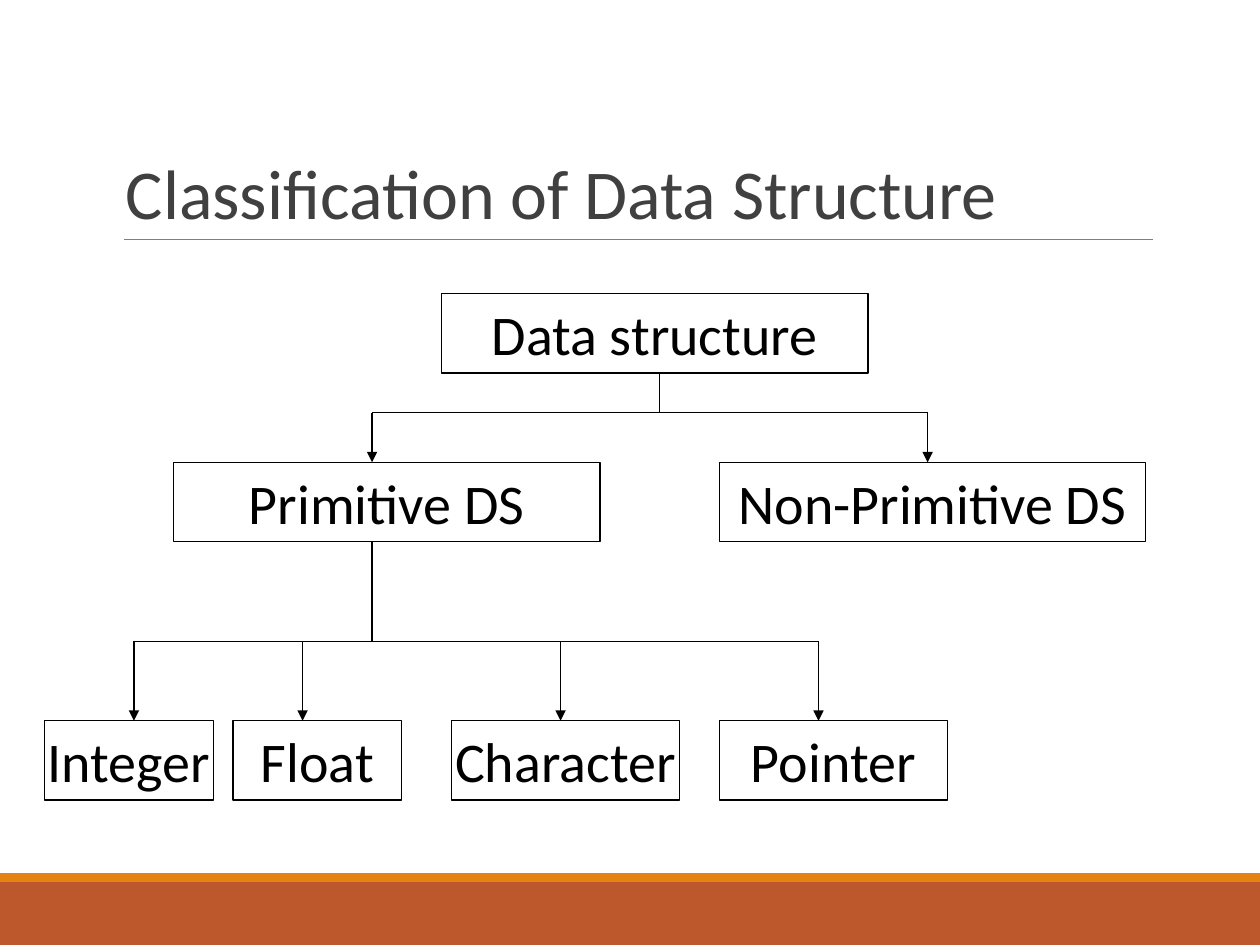
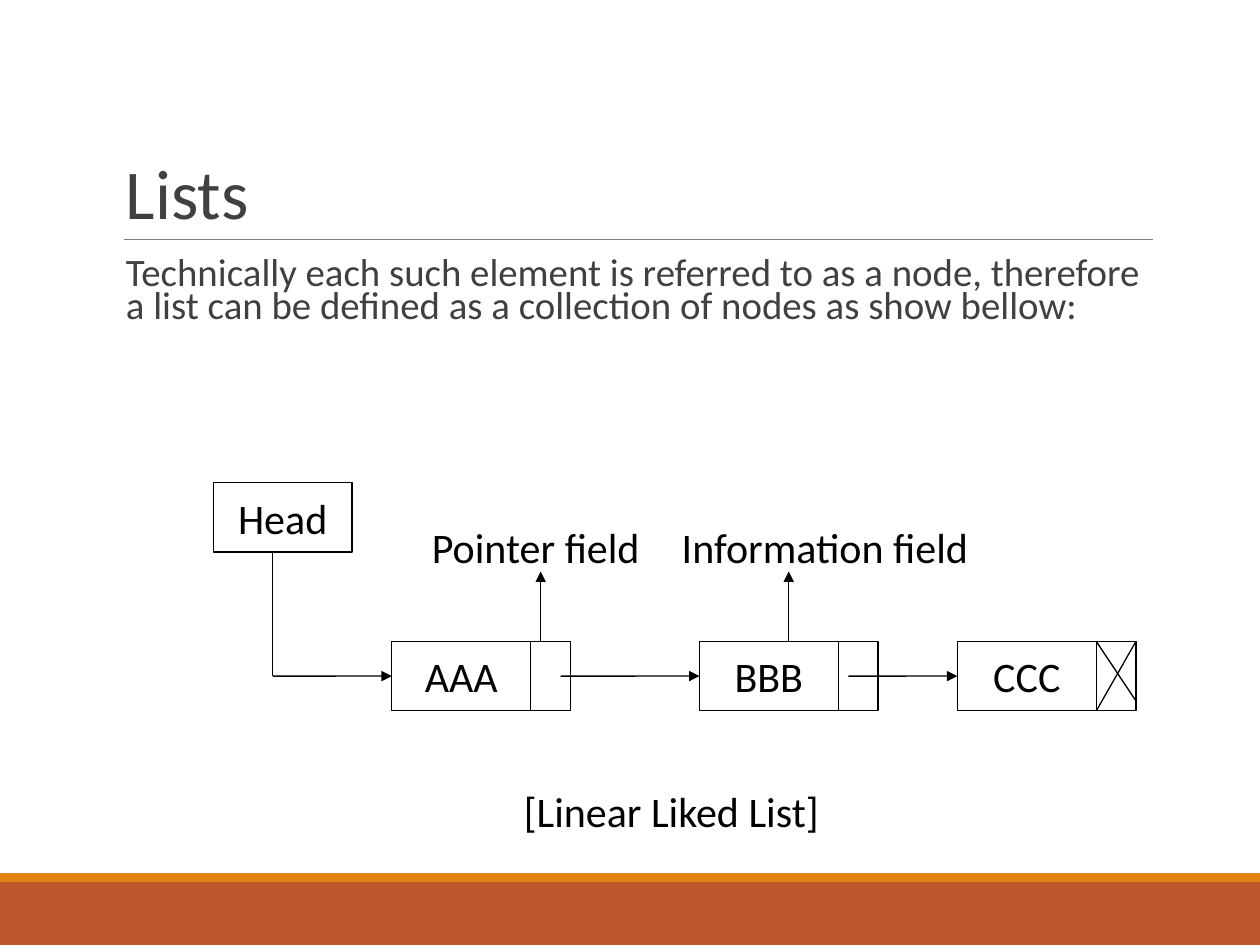
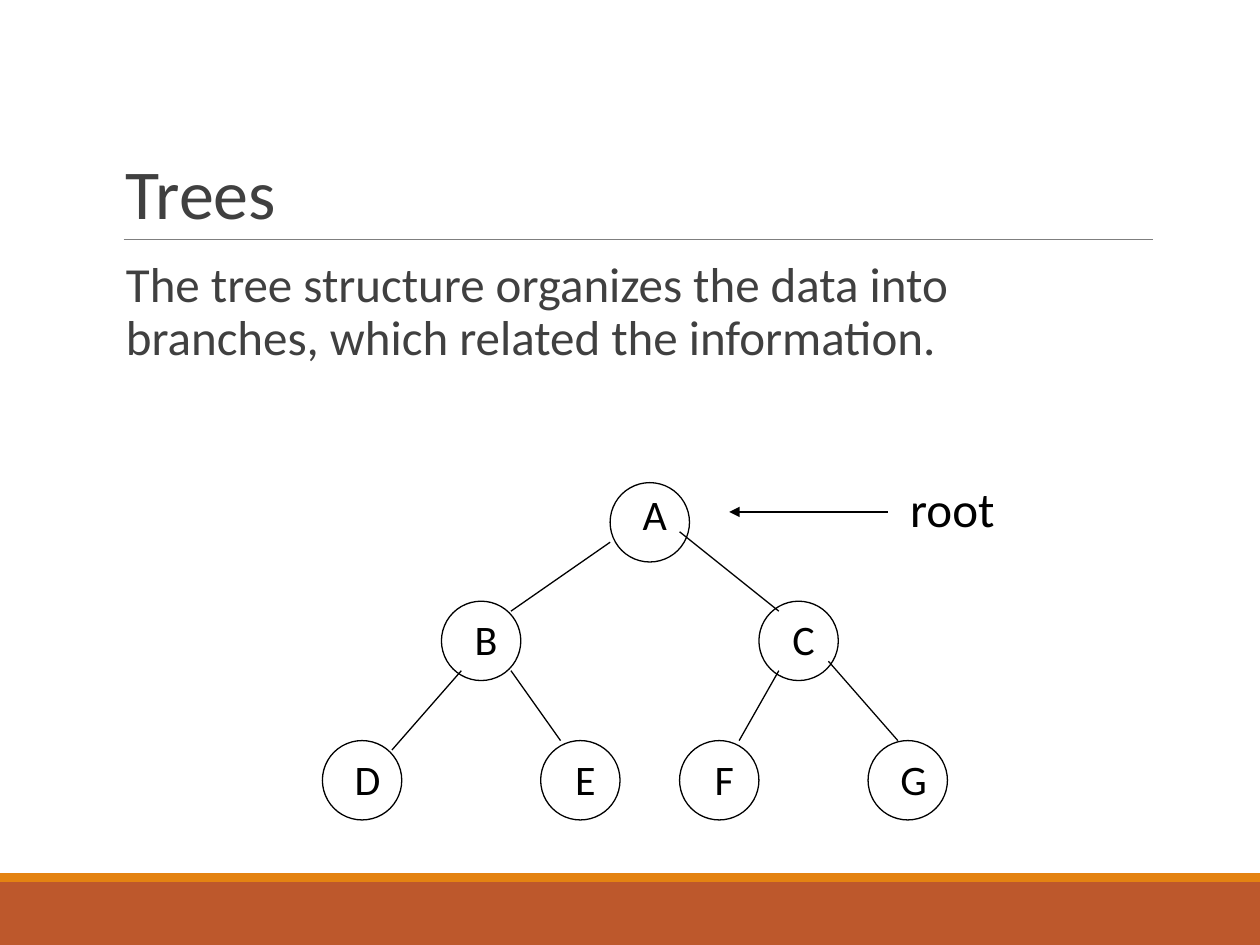
from lxml import etree
from pptx import Presentation
from pptx.dml.color import RGBColor
from pptx.enum.shapes import MSO_CONNECTOR as Link, MSO_SHAPE as Shape
from pptx.enum.text import MSO_ANCHOR as Anchor, PP_ALIGN as Align
from pptx.oxml.ns import qn
from pptx.util import Cm, Pt

BLANK_LAYOUT = 6
LEFT_SIDE = 1  # connection site of a rectangle


def color(value):
    return RGBColor.from_string(value)


def lengths(*values):
    return [Cm(value) for value in values]


class Slides:
    """Shared style, and the slide being drawn."""

    font = "Calibri"
    black, white, gray = "000000", "FFFFFF", "404040"
    rust, orange, rule = "BD582C", "E48312", "7F7F7F"

    def __init__(self):
        self.deck = Presentation()
        self.deck.slide_width, self.deck.slide_height = lengths(25.4, 19.05)
        self.page = None

    def new_page(self, title):
        layout = self.deck.slide_layouts[BLANK_LAYOUT]
        self.page = self.deck.slides.add_slide(layout)
        self.box(0, 17.78, 25.4, 1.27, fill=self.rust, line=None)
        self.box(0, 17.6, 25.4, 0.18, fill=self.orange, line=None)
        self.line((2.49, 4.83), (23.24, 4.83), ink=self.rule, width=0.5)
        self.text(title, 2.29, 0.79, 20.96, 4.04, size=40, ink=self.gray,
                  anchor=Anchor.BOTTOM, line_spacing=0.85)

    def fill_frame(self, frame, words, size, ink, **formats):
        para = frame.paragraphs[0]
        for name, value in formats.items():
            setattr(para, name, value)
        span = para.add_run()
        span.text = words
        for name, value in {"name": self.font, "size": Pt(size)}.items():
            setattr(span.font, name, value)
        span.font.color.rgb = color(ink)

    def text(self, words, left, top, width, height, size=24, ink=black,
             anchor=Anchor.TOP, shapes=None, **formats):
        shapes = shapes or self.page.shapes
        frame = shapes.add_textbox(*lengths(left, top, width, height)).text_frame
        frame.word_wrap = True
        frame.vertical_anchor = anchor
        self.fill_frame(frame, words, size, ink, **formats)

    def body(self, words, height, size, spacing):
        self.text(words, 2.29, 5.13, 20.96, height, size, self.gray,
                  line_spacing=spacing, space_before=Pt(12), space_after=Pt(2))

    def box(self, left, top, width, height, words="", size=24, fill=white,
            line=black, kind=Shape.RECTANGLE, shapes=None):
        shapes = shapes or self.page.shapes
        box = shapes.add_shape(kind, *lengths(left, top, width, height))
        box.shadow.inherit = False
        box.fill.solid()
        box.fill.fore_color.rgb = color(fill)
        if line:
            box.line.color.rgb = color(line)
            box.line.width = Pt(0.75)
        else:
            box.line.fill.background()
        if words:
            frame = box.text_frame
            frame.word_wrap = False
            frame.vertical_anchor = Anchor.MIDDLE
            self.fill_frame(frame, words, size, self.black,
                            alignment=Align.CENTER)
        return box

    def line(self, start, end, arrow=False, ink=black, width=0.75, target=None):
        line = self.page.shapes.add_connector(
            Link.STRAIGHT, *lengths(*start, *end))
        line.line.color.rgb = color(ink)
        line.line.width = Pt(width)
        properties = line._element.spPr
        if arrow:
            outline = properties.find(qn("a:ln"))
            etree.SubElement(outline, qn("a:tailEnd"), type="triangle")
        etree.SubElement(properties, qn("a:effectLst"))
        if target:
            line.end_connect(*target)

    def branch(self, trunk, top, bus, bottom, drops):
        """Trunk down to a bus, with an arrow down at each drop."""
        self.line((trunk, top), (trunk, bus))
        self.line((drops[0], bus), (drops[-1], bus))
        for drop in drops:
            self.line((drop, bus), (drop, bottom), arrow=True)

    def tree_node(self, letter, left, top, label_drop=0.13):
        shapes = self.page.shapes.add_group_shape().shapes
        self.box(left, top, 1.6, 1.6, kind=Shape.OVAL, shapes=shapes)
        self.text(letter, left + 0.4, top + label_drop, 1, 1.27, shapes=shapes,
                  alignment=Align.CENTER, space_before=Pt(15))


def draw_classification(slides):
    slides.new_page("Classification of Data Structure")
    root_top, group_top, leaf_top, height = 5.92, 9.32, 14.53, 1.6
    for words, left, top, width in [
        ("Data structure", 8.9, root_top, 8.6),
        ("Primitive DS", 3.5, group_top, 8.6),
        ("Non-Primitive DS", 14.5, group_top, 8.6),
        ("Integer", 0.9, leaf_top, 3.4),
        ("Float", 4.7, leaf_top, 3.4),
        ("Character", 9.1, leaf_top, 4.6),
        ("Pointer", 14.5, leaf_top, 4.6),
    ]:
        slides.box(left, top, width, height, words, size=32)
    slides.branch(13.3, root_top + height, 8.32, group_top, [7.5, 18.7])
    slides.branch(7.5, group_top + height, 12.93, leaf_top,
                  [2.7, 6.1, 11.3, 16.5])


def draw_lists(slides):
    slides.new_page("Lists")
    slides.body("Technically each such element is referred to as a node, "
                "therefore a list can be defined as a collection of nodes "
                "as show bellow:", 2.29, 22.2, 0.7)

    # List nodes: an information cell and a pointer cell
    top, height, info_width, pointer_width = 12.93, 1.4, 2.8, 0.8
    middle, bottom = top + height / 2, top + height
    slides.box(4.3, 9.73, info_width, height, "Head")
    cells = []
    for words, left in [("AAA", 7.9), ("BBB", 14.1), ("CCC", 19.3)]:
        cells.append(slides.box(left, top, info_width, height, words))
        slides.box(left + info_width, top, pointer_width, height)

    # Crossed-out last pointer
    slides.line((22.1, top), (22.9, 14.13))
    slides.line((22.9, top), (22.1, bottom))

    # Links into each node
    slides.line((5.5, 11.13), (5.5, middle))
    for start, left, cell in zip([5.5, 11.3, 17.1], [7.9, 14.1, 19.3], cells):
        slides.line((start, middle), (left, middle), arrow=True,
                    target=(cell, LEFT_SIDE))

    # Field names
    for words, left, width, arrow_left in [
        ("Information field", 13.03, 7.2, 15.9),
        ("Pointer field", 7.9, 5.8, 10.9),
    ]:
        slides.line((arrow_left, top), (arrow_left, 11.52), arrow=True)
        slides.box(left, 10.52, width, 1, words, line=slides.white)
    slides.text("[Linear Liked List]", 10.31, 15.72, 10, 1.27,
                space_before=Pt(15))


def draw_trees(slides):
    slides.new_page("Trees")
    slides.body("The tree structure organizes the data into branches, "
                "which related the information.", 11.18, 28, 0.9)

    # Nodes by level
    slides.tree_node("A", 12.3, 9.73, label_drop=0)
    for top, level in [
        (12.12, {"B": 8.9, "C": 15.3}),
        (14.93, {"D": 6.5, "E": 10.9, "F": 13.7, "G": 17.5}),
    ]:
        for letter, left in level.items():
            slides.tree_node(letter, left, top)

    # Edges
    for start, end in [
        ((12.3, 10.93), (10.3, 12.32)),
        ((13.7, 10.72), (15.7, 12.32)),
        ((9.3, 13.52), (7.9, 15.12)),
        ((10.3, 13.52), (11.3, 14.93)),
        ((15.7, 13.52), (14.9, 14.93)),
        ((16.7, 13.33), (18.1, 14.93)),
    ]:
        slides.line(start, end)

    # Root pointer
    slides.line((17.9, 10.32), (14.7, 10.32), arrow=True)
    slides.text("root", 18.1, 9.53, 2.8, 1.45, size=28, space_before=Pt(17.5))


def main():
    slides = Slides()
    for draw in (draw_classification, draw_lists, draw_trees):
        draw(slides)
    slides.deck.save("out.pptx")


if __name__ == "__main__":
    main()
